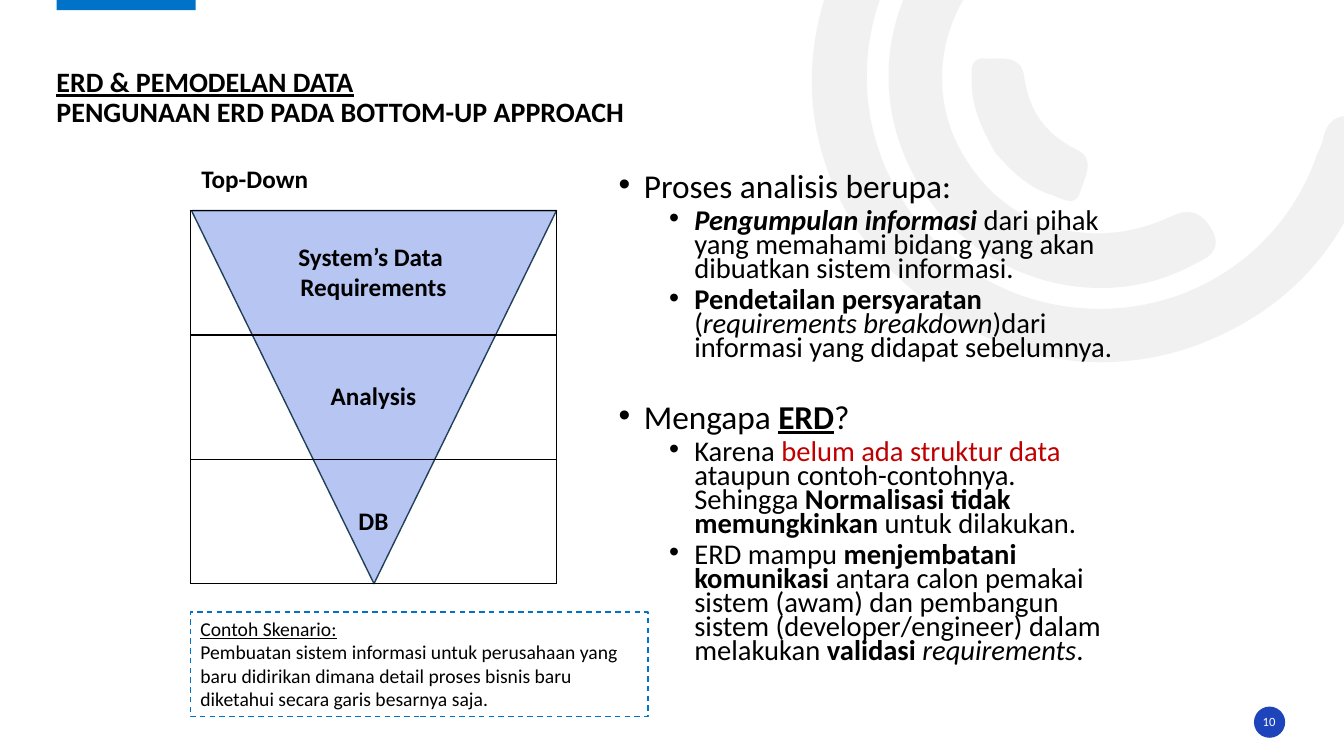
from math import cos, radians, sin

from lxml.etree import SubElement
from pptx import Presentation
from pptx.dml.color import RGBColor
from pptx.enum.dml import MSO_LINE
from pptx.enum.shapes import MSO_SHAPE
from pptx.enum.text import MSO_ANCHOR, PP_ALIGN
from pptx.oxml.ns import qn
from pptx.util import Emu, Pt

SCALE = 9144  # EMU per px, 100 px to the inch
FONT = "Calibri"
BLACK, WHITE, RED = "000000", "FFFFFF", "C00000"
BLUE, BADGE_BLUE, ARC_GRAY = "0072C7", "1E44BC", "E7E6E6"
TRIANGLE_FILL, TRIANGLE_LINE = "B7C5F3", "21405A"
BOLD, ITALIC, UNDERLINE = {"bold": True}, {"italic": True}, {"underline": True}

# A paragraph is a list of (text, format) runs; "\n" ends a line within it.
TITLE = [[("ERD & PEMODELAN DATA\n", UNDERLINE),
          ("PENGUNAAN ERD PADA BOTTOM-UP APPROACH", {})]]
LEVELS = [["System’s Data ", "Requirements"], ["Analysis"], ["DB"]]
SCENARIO = [
    [("Contoh Skenario:", UNDERLINE)],
    [("Pembuatan sistem informasi untuk perusahaan yang baru didirikan dimana "
      "detail proses bisnis baru diketahui secara garis besarnya saja.", {})],
]
# (level, space before in points, runs)
BULLETS = [
    (0, 10, [("Proses analisis berupa:", {})]),
    (1, 5, [("Pengumpulan informasi", {**BOLD, **ITALIC}),
            (" dari pihak yang memahami bidang yang akan dibuatkan sistem informasi.", {})]),
    (1, 5, [("Pendetailan persyaratan", BOLD), (" (", {}),
            ("requirements breakdown", ITALIC),
            (")dari informasi yang didapat sebelumnya.", {})]),
    (0, 32, [("Mengapa ", {}), ("ERD", {**BOLD, **UNDERLINE}), ("?", {})]),
    (1, 5, [("Karena ", {}), ("belum ada struktur data", {"color": RED}),
            (" ataupun contoh-contohnya. Sehingga ", {}),
            ("Normalisasi tidak memungkinkan ", BOLD), ("untuk dilakukan.", {})]),
    (1, 5, [("ERD mampu ", {}), ("menjembatani komunikasi", BOLD),
            (" antara calon pemakai sistem (awam) dan pembangun sistem "
             "(developer/engineer) dalam melakukan ", {}),
            ("validasi ", BOLD), ("requirements", ITALIC), (".", {})]),
]
LEVEL_STYLE = {0: (23.8, 25), 1: (20.4, 75)}  # text size, left margin
HANGING = 25

# Each arc: its box before turning, then its outline on the slide:
# a start point and cubic curves (two controls and an end).
ARC_ANGLE = 144.2
ARCS = [
    ((813, -202, 485, 600), [
        (851, 229),
        (799, 149, 787, 50, 838, -50), (890, -152, 976, -203, 1090, -207),
        (1105, -207, 1121, -210, 1131, -195), (1144, -175, 1127, -154, 1098, -154),
        (967, -154, 865, -59, 860, 68), (856, 181, 936, 281, 1046, 302),
        (1160, 324, 1270, 261, 1307, 152), (1309, 148, 1311, 144, 1312, 140),
        (1316, 119, 1327, 111, 1349, 117), (1373, 124, 1367, 141, 1361, 156),
        (1334, 245, 1278, 307, 1191, 341), (1070, 387, 936, 345, 851, 229)]),
    ((901, -78, 213, 426), [
        (922, 199),
        (862, 115, 869, 7, 940, -68), (951, -79, 962, -95, 980, -78),
        (995, -64, 997, -50, 979, -32), (925, 26, 920, 108, 965, 168),
        (1008, 229, 1088, 249, 1161, 215), (1182, 205, 1193, 212, 1203, 229),
        (1213, 250, 1197, 256, 1183, 263), (1096, 310, 983, 282, 922, 199)]),
    ((980, 37, 78, 183), [
        (987, 151),
        (975, 130, 964, 107, 964, 82), (964, 73, 961, 57, 976, 58),
        (992, 59, 1013, 53, 1016, 76), (1021, 110, 1036, 132, 1067, 148),
        (1088, 157, 1076, 176, 1072, 189), (1068, 206, 1055, 198, 1045, 194),
        (1021, 187, 1003, 170, 987, 151)]),
]


def px(value):
    return Emu(round(value * SCALE))


def rgb(color):
    return RGBColor.from_string(color)


def write(frame, paragraphs, size, color=BLACK, align=PP_ALIGN.LEFT,
          anchor=MSO_ANCHOR.TOP, wrap=True, margin=None, spacing=None, bold=False):
    """Fill a text frame with paragraphs of (text, format) runs."""
    frame.word_wrap = wrap
    frame.vertical_anchor = anchor
    if margin is not None:
        frame.margin_left = frame.margin_right = px(margin)
        frame.margin_top = frame.margin_bottom = px(margin)
    for index, runs in enumerate(paragraphs):
        paragraph = frame.add_paragraph() if index else frame.paragraphs[0]
        paragraph.alignment = align
        if spacing:
            paragraph.line_spacing = spacing
        for text, style in runs:
            run = paragraph.add_run()
            run.text = text.rstrip("\n")
            font = run.font
            font.name, font.size = FONT, Pt(size)
            font.bold = style.get("bold", bold)
            font.italic = style.get("italic", False)
            font.underline = style.get("underline", False)
            font.color.rgb = rgb(style.get("color", color))
            if text.endswith("\n"):
                paragraph.add_line_break()


def add_text(slide, box, paragraphs, size, **options):
    frame = slide.shapes.add_textbox(*map(px, box)).text_frame
    write(frame, paragraphs, size, **options)
    return frame


def paint(shape, fill, line=None):
    shape.shadow.inherit = False
    shape.fill.solid()
    shape.fill.fore_color.rgb = rgb(fill)
    if line:
        shape.line.color.rgb = rgb(line)
        shape.line.width = Pt(1)
    else:
        shape.line.fill.background()


def add_shape(slide, kind, box, fill, line=None):
    shape = slide.shapes.add_shape(kind, *map(px, box))
    paint(shape, fill, line)
    return shape


def turn_back(x, y, box):
    """Undo the arc's rotation; give the point relative to its box, in EMU."""
    left, top, width, height = box
    dx, dy = x - left - width / 2, y - top - height / 2
    c, s = cos(radians(ARC_ANGLE)), sin(radians(ARC_ANGLE))
    return px(dx * c + dy * s + width / 2), px(dy * c - dx * s + height / 2)


def add_arc(slide, box, outline):
    left, top, width, height = map(px, box)
    builder = slide.shapes.build_freeform(left, top)
    builder.add_line_segments([(left + width, top + height)])
    arc = builder.convert_to_shape()
    paint(arc, ARC_GRAY)
    arc.rotation = ARC_ANGLE

    properties = arc._element.spPr
    geometry = next(properties.iter(qn("a:path")))
    for child in list(geometry):
        geometry.remove(child)
    for numbers in outline:
        kind = "a:moveTo" if len(numbers) == 2 else "a:cubicBezTo"
        command = SubElement(geometry, qn(kind))
        for x, y in zip(numbers[::2], numbers[1::2]):
            local_x, local_y = turn_back(x, y, box)
            SubElement(command, qn("a:pt"), x=str(local_x), y=str(local_y))
    SubElement(geometry, qn("a:close"))
    SubElement(next(properties.iter(qn("a:srgbClr"))), qn("a:alpha"), val="53000")


def add_bullets(slide, box):
    paragraphs = [runs for _, _, runs in BULLETS]
    frame = add_text(slide, box, paragraphs, LEVEL_STYLE[1][0], spacing=0.7)
    for paragraph, (level, before, _) in zip(frame.paragraphs, BULLETS):
        size, left = LEVEL_STYLE[level]
        paragraph.level = level
        paragraph.space_before = Pt(before)
        for run in paragraph.runs:
            run.font.size = Pt(size)
        properties = paragraph._p.get_or_add_pPr()
        properties.set("marL", str(px(left)))
        properties.set("indent", str(px(-HANGING)))
        SubElement(properties, qn("a:buFont"), typeface="Arial")
        SubElement(properties, qn("a:buChar"), char="•")


def add_borders(cell):
    properties = cell._tc.get_or_add_tcPr()
    for index, side in enumerate(("lnL", "lnR", "lnT", "lnB")):
        line = properties.makeelement(qn(f"a:{side}"), {"w": str(Pt(1))})
        SubElement(SubElement(line, qn("a:solidFill")), qn("a:srgbClr"), val=BLACK)
        properties.insert(index, line)


def add_levels_table(slide, box):
    table = slide.shapes.add_table(len(LEVELS), 1, *map(px, box)).table
    table.first_row = table.horz_banding = False
    for row, lines in enumerate(LEVELS):
        cell = table.cell(row, 0)
        cell.fill.background()
        cell.vertical_anchor = MSO_ANCHOR.MIDDLE
        write(cell.text_frame, [[(line, BOLD)] for line in lines], 18,
              align=PP_ALIGN.CENTER, anchor=None)
        add_borders(cell)


def main():
    presentation = Presentation()
    presentation.slide_width, presentation.slide_height = px(1333.33), px(750)
    slide = presentation.slides.add_slide(presentation.slide_layouts[6])

    for box, outline in ARCS:
        add_arc(slide, box, outline)
    accent = add_shape(slide, MSO_SHAPE.RECTANGLE, (56, -2, 138, 12), BLUE)
    accent.rotation = 180
    add_shape(slide, MSO_SHAPE.OVAL, (1244, 701, 31, 31), BADGE_BLUE)
    add_text(slide, (56, 27, 1219, 101), TITLE, 20, bold=True, margin=0,
             anchor=MSO_ANCHOR.BOTTOM, spacing=0.9)
    add_text(slide, (1243, 706, 32, 20), [[("10", {})]], 9, color=WHITE, margin=0,
             align=PP_ALIGN.CENTER, anchor=MSO_ANCHOR.MIDDLE)
    add_bullets(slide, (604, 170, 513, 530))

    scenario = add_shape(slide, MSO_SHAPE.RECTANGLE, (189, 607, 454, 104), WHITE, BLUE)
    scenario.line.dash_style = MSO_LINE.DASH
    write(scenario.text_frame, SCENARIO, 14)

    triangle = add_shape(slide, MSO_SHAPE.ISOSCELES_TRIANGLE, (190, 209, 362, 370),
                         TRIANGLE_FILL, TRIANGLE_LINE)
    triangle.rotation = 180
    add_levels_table(slide, (189, 209, 363, 370))
    add_text(slide, (190, 157, 127, 40), [[("Top-Down", BOLD)]], 18, wrap=False)

    presentation.save("out.pptx")


if __name__ == "__main__":
    main()
